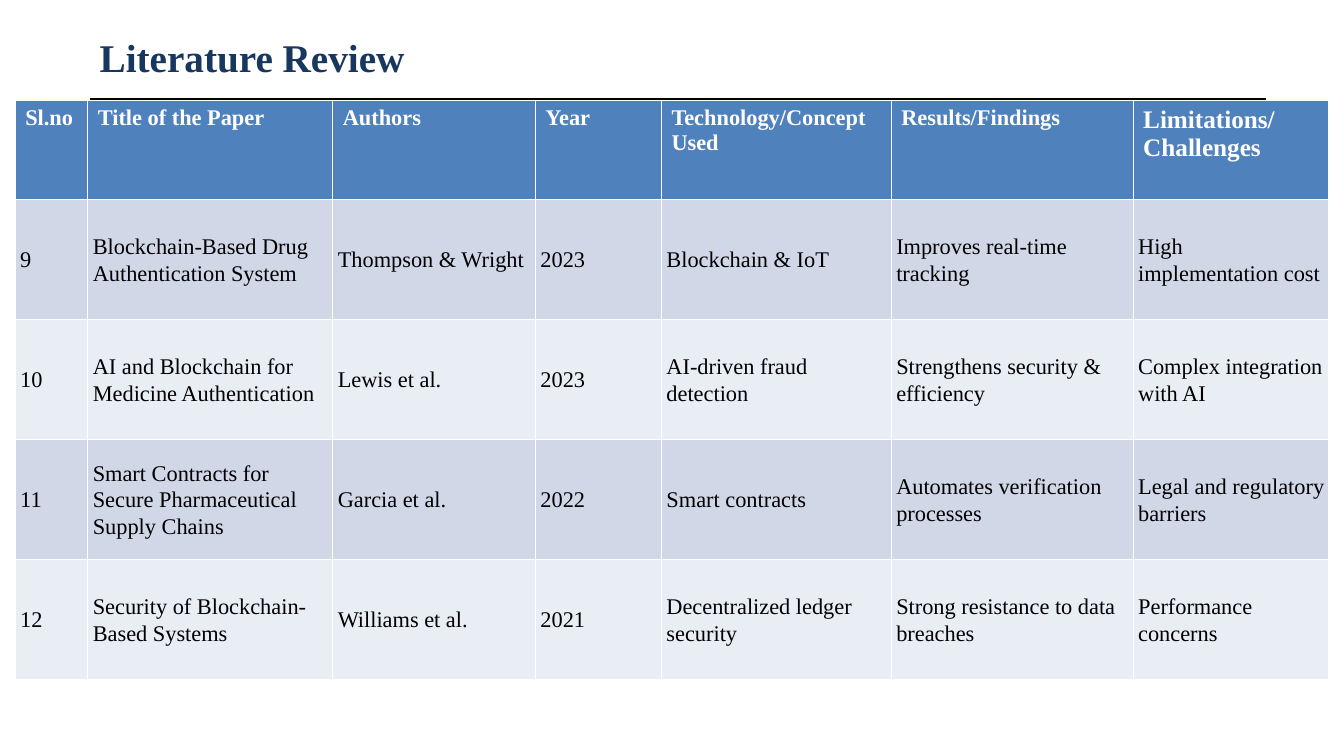
import dataclasses

import pptx
import pptx.dml.color
import pptx.enum.shapes
import pptx.enum.text
import pptx.oxml.xmlchemy
import pptx.util


@dataclasses.dataclass(frozen=True)
class Theme:
    """Colours, font and type sizes of the slide."""
    font: str = "Times New Roman"
    title: str = "17375E"
    rule: str = "000000"
    head: str = "4F81BD"
    head_text: str = "FFFFFF"
    bands: tuple = ("D0D8E8", "E9EDF4")
    body_text: str = "000000"
    title_size: int = 28
    wide_size: int = 18
    cell_size: int = 16
    rule_width: float = 4.5


THEME = Theme()
WIDTH, HEIGHT = pptx.util.Inches(13.33), pptx.util.Inches(7.5)
LEFT, SPAN = 6.68, 87.55
TOP = 13.33
COLUMNS = (5.4, 18.23, 15.08, 9.38, 17.1, 18, 14.55)
HEAD_ROW, BODY_ROW = 13.07, 15.87
HEADINGS = ("Sl.no", "Title of the Paper", "Authors", "Year",
            "Technology/Concept Used", "Results/Findings", "Limitations/\nChallenges")
PAPERS = (
    ("9", "Blockchain-Based Drug Authentication System", "Thompson & Wright", "2023",
     "Blockchain & IoT", "Improves real-time tracking", "High implementation cost"),
    ("10", "AI and Blockchain for Medicine Authentication", "Lewis et al.", "2023",
     "AI-driven fraud detection", "Strengthens security & efficiency",
     "Complex integration with AI"),
    ("11", "Smart Contracts for Secure Pharmaceutical Supply Chains", "Garcia et al.", "2022",
     "Smart contracts", "Automates verification processes", "Legal and regulatory barriers"),
    ("12", "Security of Blockchain-Based Systems", "Williams et al.", "2021",
     "Decentralized ledger security", "Strong resistance to data breaches",
     "Performance concerns"),
)


def across(percent):
    """Return a share of the slide's width."""
    return round(WIDTH * percent / 100)


def down(percent):
    """Return a share of the slide's height."""
    return round(HEIGHT * percent / 100)


def rgb(value):
    """Return a colour from its hex value."""
    return pptx.dml.color.RGBColor.from_string(value)


def write(tf, text, *, size, color, bold=False, indent=0, spacing=None, after=None):
    """Write one formatted paragraph for each line of text."""
    tf.word_wrap = True
    for i, line in enumerate(text.split("\n")):
        p = tf.paragraphs[0] if i == 0 else tf.add_paragraph()
        p.line_spacing = spacing
        p.space_after = after
        if indent:
            p._p.get_or_add_pPr().set("marL", str(indent))
        r = p.add_run()
        r.text = line
        r.font.name = THEME.font
        r.font.size = pptx.util.Pt(size)
        r.font.bold = bold
        r.font.color.rgb = rgb(color)


def add_rule(s):
    """Draw the heavy line under the title."""
    line = s.shapes.add_connector(
        pptx.enum.shapes.MSO_CONNECTOR.STRAIGHT,
        across(LEFT), down(TOP), across(LEFT + SPAN), down(TOP))
    line.line.color.rgb = rgb(THEME.rule)
    line.line.width = pptx.util.Pt(THEME.rule_width)
    line._element.spPr.append(pptx.oxml.xmlchemy.OxmlElement("a:effectLst"))


def add_title(s, text):
    """Add the slide title."""
    sp = s.shapes.add_textbox(across(LEFT), down(4), across(SPAN), down(7.07))
    tf = sp.text_frame
    tf.vertical_anchor = pptx.enum.text.MSO_ANCHOR.MIDDLE
    write(tf, text, size=THEME.title_size, color=THEME.title, bold=True)


def fill_cell(cell, color):
    """Give a cell a solid fill."""
    cell.fill.solid()
    cell.fill.fore_color.rgb = rgb(color)


def head_cell(cell, text):
    """Format a column heading, larger when it has two lines."""
    fill_cell(cell, THEME.head)
    size = THEME.wide_size if "\n" in text else THEME.cell_size
    write(cell.text_frame, text, size=size, color=THEME.head_text, bold=True)


def body_cell(cell, text, band):
    """Format a paper's cell with narrow margins."""
    fill_cell(cell, band)
    cell.vertical_anchor = pptx.enum.text.MSO_ANCHOR.MIDDLE
    inset = pptx.util.Inches(0.01)
    cell.margin_left = cell.margin_right = cell.margin_top = cell.margin_bottom = inset
    write(cell.text_frame, text, size=THEME.cell_size, color=THEME.body_text,
          indent=pptx.util.Inches(0.04), spacing=1.07, after=pptx.util.Pt(8))


def add_papers(s):
    """Add the table of reviewed papers."""
    heights = [HEAD_ROW] + [BODY_ROW] * len(PAPERS)
    table = s.shapes.add_table(
        len(heights), len(COLUMNS), across(1.13), down(TOP),
        across(sum(COLUMNS)), down(sum(heights))).table
    for column, width in zip(table.columns, COLUMNS):
        column.width = across(width)
    for row, height in zip(table.rows, heights):
        row.height = down(height)
    for c, text in enumerate(HEADINGS):
        head_cell(table.cell(0, c), text)
    for i, paper in enumerate(PAPERS):
        for c, text in enumerate(paper):
            body_cell(table.cell(i + 1, c), text, THEME.bands[i % 2])


def main():
    """Build and save the literature review slide."""
    prs = pptx.Presentation()
    prs.slide_width, prs.slide_height = WIDTH, HEIGHT
    s = prs.slides.add_slide(prs.slide_layouts[6])
    add_rule(s)
    add_title(s, "Literature Review")
    add_papers(s)
    prs.save("out.pptx")


if __name__ == "__main__":
    main()
